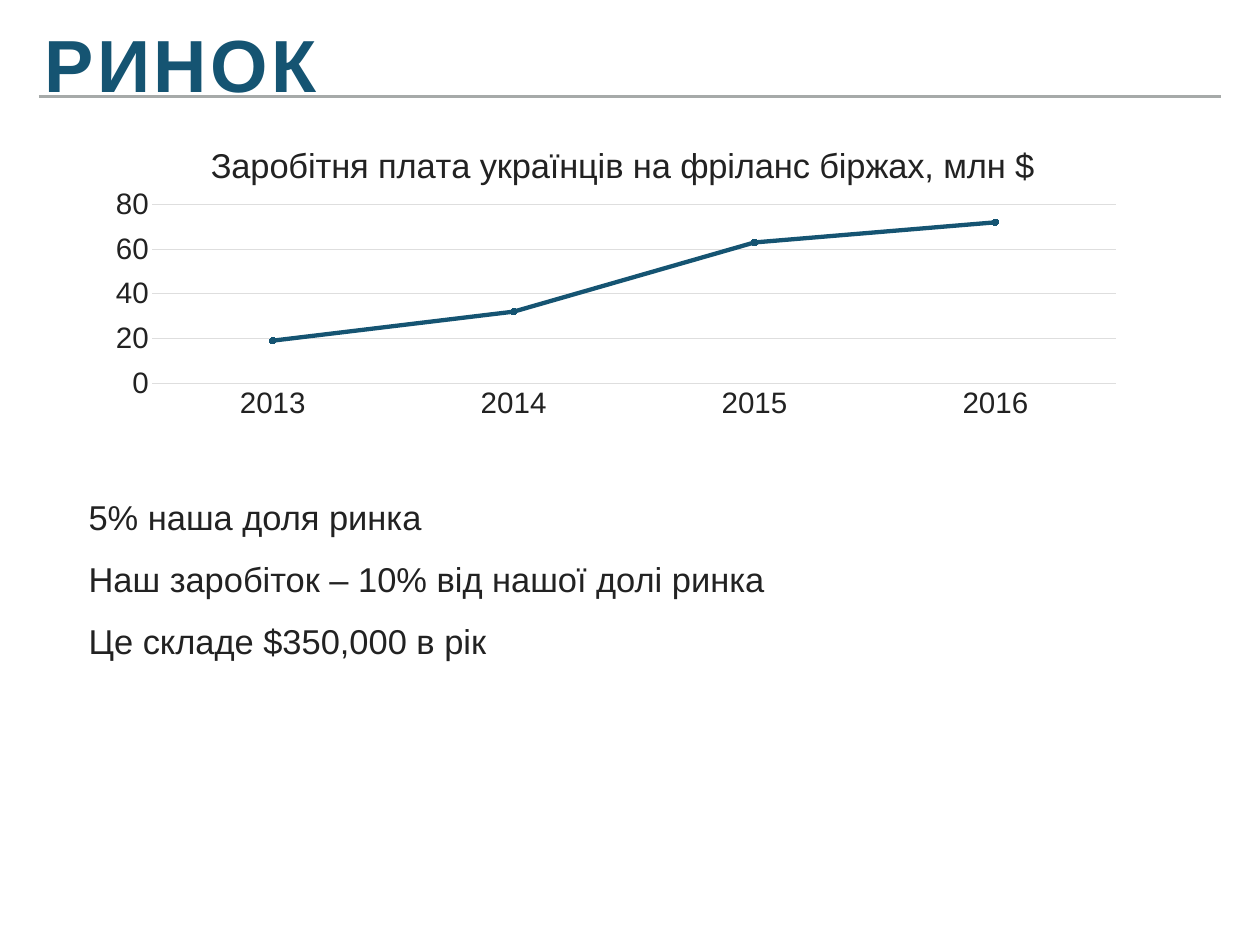
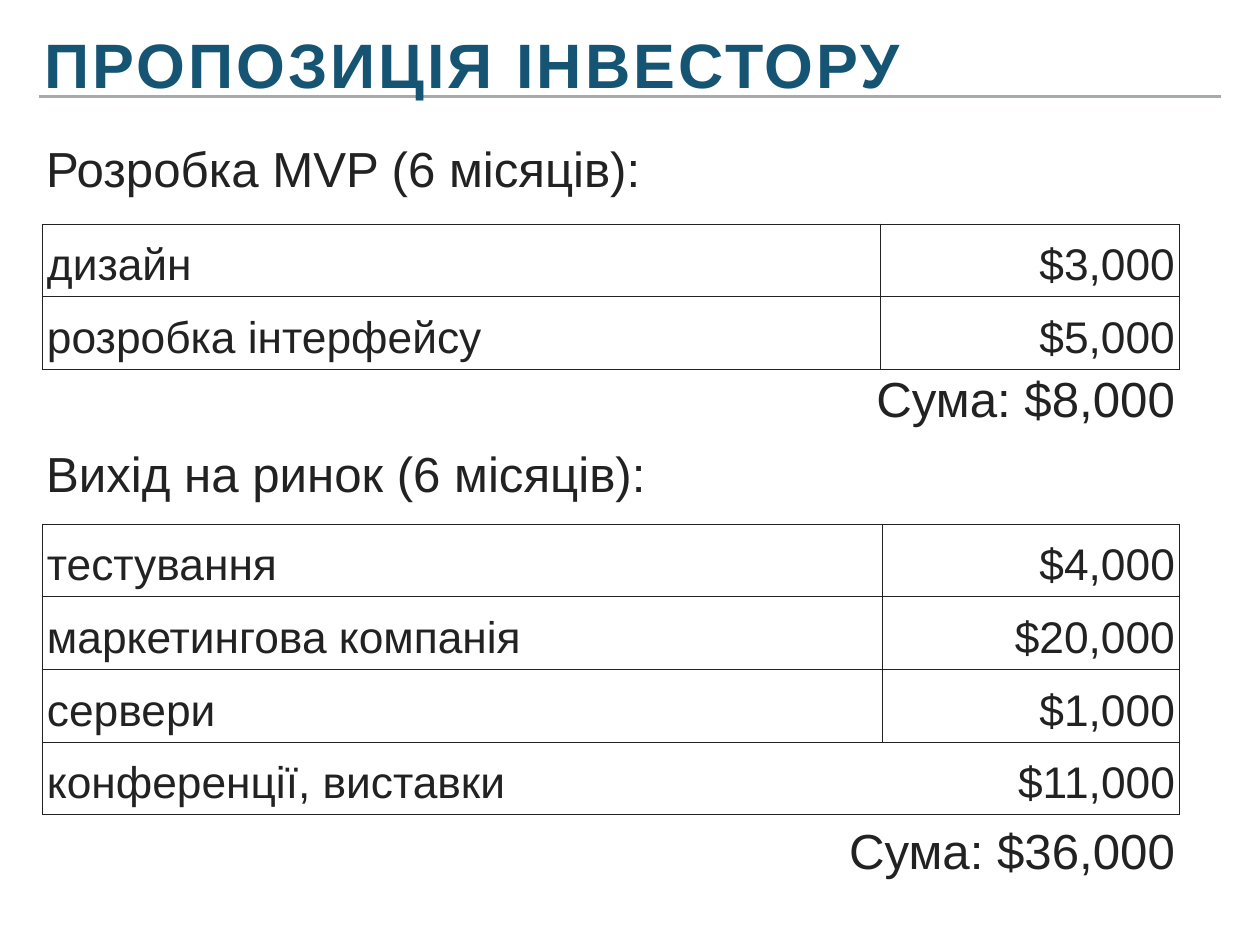
"""Build two slides: the market chart and the investor proposal."""
from lxml import etree
from pptx import Presentation
from pptx.chart.data import CategoryChartData
from pptx.dml.color import RGBColor
from pptx.enum.chart import XL_CHART_TYPE, XL_MARKER_STYLE, XL_TICK_MARK
from pptx.enum.shapes import MSO_CONNECTOR
from pptx.enum.text import MSO_ANCHOR, MSO_AUTO_SIZE, PP_ALIGN
from pptx.oxml.ns import qn
from pptx.util import Pt

LINE_MARKERS = XL_CHART_TYPE.LINE_MARKERS
CIRCLE = XL_MARKER_STYLE.CIRCLE
NO_TICK = XL_TICK_MARK.NONE
STRAIGHT = MSO_CONNECTOR.STRAIGHT
TOP, MIDDLE, BOTTOM = MSO_ANCHOR.TOP, MSO_ANCHOR.MIDDLE, MSO_ANCHOR.BOTTOM
GROW = MSO_AUTO_SIZE.SHAPE_TO_FIT_TEXT
LEFT, RIGHT = PP_ALIGN.LEFT, PP_ALIGN.RIGHT

PX = 9144
FONT = "Arial"
TEAL, INK, RULE, GRID, MARKER = "155472", "222222", "A6AAA9", "DEDEDE", "3F969A"


def paint(target, color):
    """Give a font, fill or line a solid colour."""
    if hasattr(target, "solid"):
        target.solid()
        target.fore_color.rgb = RGBColor.from_string(color)
    else:
        target.color.rgb = RGBColor.from_string(color)


def write(frame, lines, size, color=INK, inset=5, anchor=TOP, align=LEFT, before=0, spacing=1.0):
    """Fill a text frame or table cell with one paragraph per line."""
    frame.margin_left = frame.margin_right = inset * PX
    frame.margin_top = frame.margin_bottom = inset * PX
    frame.vertical_anchor = anchor
    text = getattr(frame, "text_frame", frame)
    for number, line in enumerate(lines):
        para = text.add_paragraph() if number else text.paragraphs[0]
        para.alignment = align
        para.space_before = Pt(before)
        para.line_spacing = spacing
        span = para.add_run()
        span.text = line
        span.font.name = FONT
        span.font.size = Pt(size)
        paint(span.font, color)


deck = Presentation()
deck.slide_width, deck.slide_height = 1422 * PX, 1067 * PX
market = deck.slides.add_slide(deck.slide_layouts[1])
proposal = deck.slides.add_slide(deck.slide_layouts[5])

rule = market.shapes.add_connector(STRAIGHT, 44 * PX, 109 * PX, 1378 * PX, 109 * PX)
paint(rule.line, RULE)
rule.line.width = Pt(2)
etree.SubElement(rule.element.spPr, qn("a:effectLst"))
deck.slide_master.shapes.element.append(rule.element)

for page, heading, size, tracking, top, height in (
    (market, "РИНОК", 60, 300, 22, 104),
    (proposal, "ПРОПОЗИЦІЯ ІНВЕСТОРУ", 51, 250, 28, 91),
):
    title = page.shapes.title
    title.left, title.top, title.width, title.height = 44 * PX, top * PX, 1222 * PX, height * PX
    write(title.text_frame, [heading], size, TEAL, 6, BOTTOM, spacing=0.8)
    title.text_frame.auto_size = GROW
    span = title.text_frame.paragraphs[0].runs[0]
    span.font.bold = True
    span._r.get_or_add_rPr().set("spc", str(tracking))

body = market.placeholders[1]
body.left, body.top, body.width, body.height = 95 * PX, 532 * PX, 1208 * PX, 213 * PX
write(
    body.text_frame,
    ["5% наша доля ринка", "Наш заробіток – 10% від нашої долі ринка", "Це складе $350,000 в рік"],
    28,
    spacing=1.5,
)
body.text_frame.auto_size = GROW
for para in body.text_frame.paragraphs:
    properties = para._p.get_or_add_pPr()
    properties.set("marL", "0")
    properties.set("indent", "0")
    etree.SubElement(properties, qn("a:buNone"))

data = CategoryChartData()
data.categories = ["2013", "2014", "2015", "2016"]
data.add_series("Series 1", [19, 32, 63, 72])
chart = market.shapes.add_chart(
    LINE_MARKERS, 101 * PX, 142 * PX, 1182 * PX, 342 * PX, data
).chart
chart.has_legend = False
chart.font.name = FONT
chart.font.size = Pt(10)
paint(chart.font, INK)
write(chart.chart_title.text_frame, ["Заробiтня плата украïнцiв на фрiланс бiржах, млн $"], 28)
chart.chart_title.text_frame.paragraphs[0].alignment = PP_ALIGN.CENTER
chart.chart_title.text_frame.paragraphs[0].runs[0].font.bold = False

for axis in (chart.category_axis, chart.value_axis):
    axis.major_tick_mark = axis.minor_tick_mark = NO_TICK
    axis.tick_labels.font.name = FONT
    axis.tick_labels.font.size = Pt(24)
    paint(axis.tick_labels.font, INK)
paint(chart.category_axis.format.line, GRID)
chart.category_axis.format.line.width = Pt(0.75)
values = chart.value_axis
values.minimum_scale, values.maximum_scale, values.major_unit = 0, 80, 20
values.format.line.fill.background()
paint(values.major_gridlines.format.line, GRID)
values.major_gridlines.format.line.width = Pt(1)

chart.plots[0].vary_by_categories = False
series = chart.plots[0].series[0]
series.smooth = False
paint(series.format.line, TEAL)
series.format.line.width = Pt(3.5)
series.marker.style = CIRCLE
series.marker.size = 5
paint(series.marker.format.fill, MARKER)
paint(series.marker.format.line, MARKER)

plot_area = chart.element.find(".//" + qn("c:plotArea"))
for parent, index, settings in (
    (chart.chart_title.element, 1, {"xMode": "edge", "yMode": "edge", "x": 0.11, "y": 0.04}),
    (plot_area, 0, {"layoutTarget": "inner", "xMode": "edge", "yMode": "edge",
                    "x": 0.06, "y": 0.26, "w": 0.92, "h": 0.59}),
):
    for automatic in parent.findall(qn("c:layout")):
        parent.remove(automatic)
    layout = etree.Element(qn("c:layout"))
    manual = etree.SubElement(layout, qn("c:manualLayout"))
    for name, value in settings.items():
        etree.SubElement(manual, qn("c:" + name)).set("val", str(value))
    parent.insert(index, layout)

stages = (
    ("Розробка MVP (6 місяців):", 150, 253, 946, False,
     [("дизайн", "$3,000"), ("розробка інтерфейсу", "$5,000")],
     "Сума: $8,000", 411, 351),
    ("Вихід на ринок (6 місяців):", 494, 592, 948, True,
     [("тестування", "$4,000"), ("маркетингова компанія", "$20,000"),
      ("сервери", "$1,000"), ("конференції, виставки", "$11,000")],
     "Сума: $36,000", 921, 382),
)
TABLE_LEFT, TABLE_WIDTH, ROW_HEIGHT = 48, 1283, 82
for heading, heading_top, table_top, split, open_last, costs, total, total_top, total_width in stages:
    box = proposal.shapes.add_textbox(46 * PX, heading_top * PX, 1161 * PX, 79 * PX)
    box.text_frame.word_wrap = True
    box.text_frame.auto_size = GROW
    write(box.text_frame, [heading], 40, inset=6, anchor=MIDDLE, before=6)

    table = proposal.shapes.add_table(
        len(costs), 2, TABLE_LEFT * PX, table_top * PX, TABLE_WIDTH * PX, len(costs) * ROW_HEIGHT * PX
    ).table
    table.first_row = table.horz_banding = False
    table.columns[0].width = split * PX
    table.columns[1].width = (TABLE_WIDTH - split) * PX
    for row, cost in enumerate(costs):
        for column, (label, align) in enumerate(zip(cost, (LEFT, RIGHT))):
            cell = table.cell(row, column)
            write(cell, [label], 36, anchor=MIDDLE, align=align, before=24, spacing=1.2)
            cell.fill.background()
            open_side = ("lnR", "lnL")[column] if open_last and row == len(costs) - 1 else None
            for index, side in enumerate(("lnL", "lnR", "lnT", "lnB")):
                border = etree.Element(qn("a:" + side), w=str(Pt(1)))
                if side == open_side:
                    etree.SubElement(border, qn("a:noFill"))
                else:
                    solid = etree.SubElement(border, qn("a:solidFill"))
                    etree.SubElement(solid, qn("a:srgbClr"), val=INK)
                cell._tc.get_or_add_tcPr().insert(index, border)

    box = proposal.shapes.add_textbox(
        (TABLE_LEFT + TABLE_WIDTH - total_width) * PX, total_top * PX, total_width * PX, 77 * PX
    )
    box.text_frame.word_wrap = False
    box.text_frame.auto_size = GROW
    write(box.text_frame, [total], 40, align=RIGHT, before=6)

deck.save("out.pptx")
